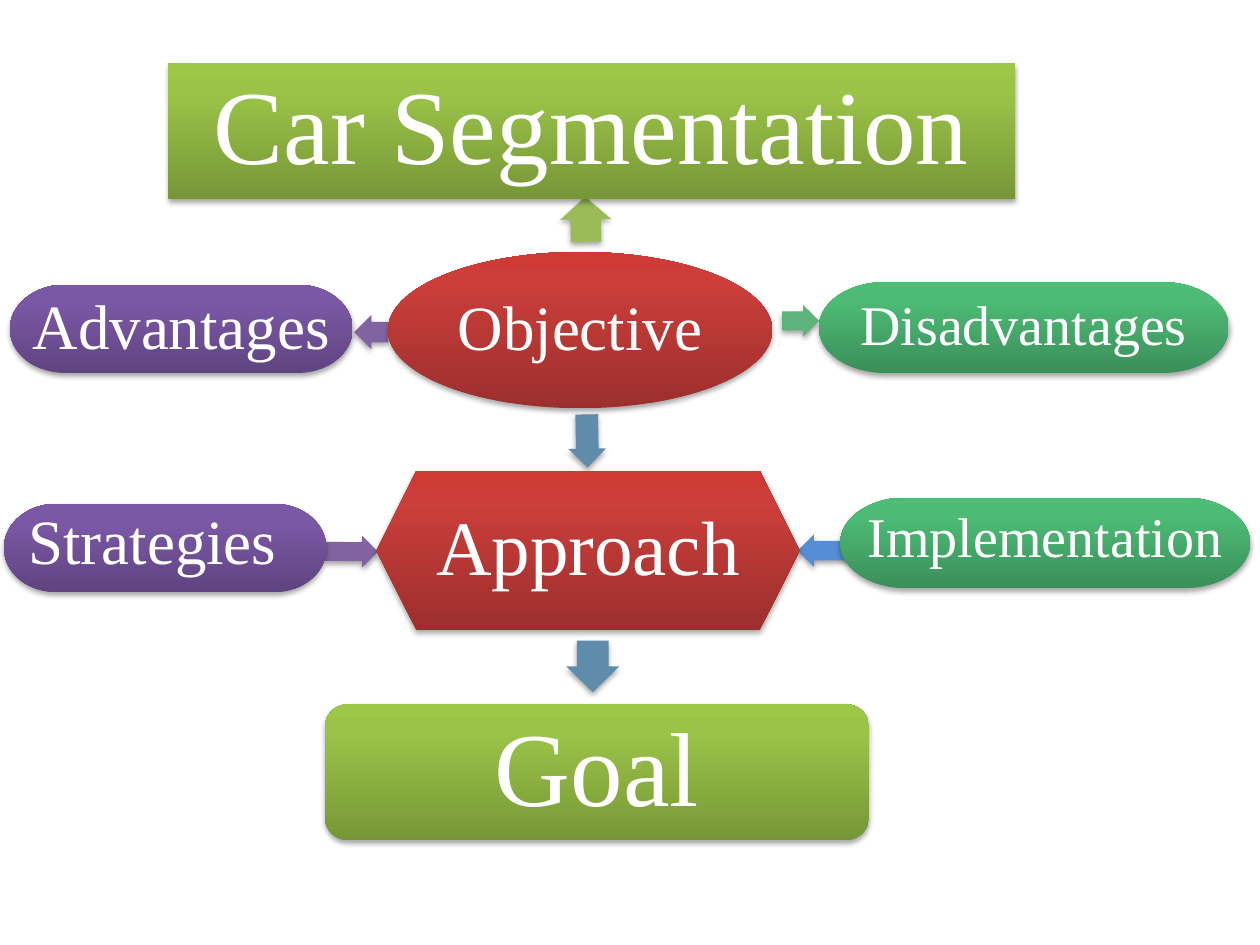
from copy import deepcopy
from dataclasses import dataclass

from lxml import etree
from pptx import Presentation
from pptx.dml.color import RGBColor
from pptx.enum.shapes import MSO_SHAPE
from pptx.enum.text import MSO_ANCHOR, MSO_AUTO_SIZE, PP_ALIGN
from pptx.oxml import parse_xml
from pptx.oxml.ns import qn
from pptx.util import Cm, Pt

ROUNDED = MSO_SHAPE.ROUNDED_RECTANGLE
OVAL = MSO_SHAPE.OVAL
HEXAGON = MSO_SHAPE.HEXAGON
PILL = MSO_SHAPE.FLOWCHART_TERMINATOR
ARROW = MSO_SHAPE.RIGHT_ARROW
CENTER = PP_ALIGN.CENTER
MIDDLE = MSO_ANCHOR.MIDDLE
NO_FIT = MSO_AUTO_SIZE.NONE
TITLE_ONLY = 5
DRAWING = "http://schemas.openxmlformats.org/drawingml/2006/main"
SHADOW = (
    f'<a:outerShdw xmlns:a="{DRAWING}" blurRad="40000" dist="23000" '
    'dir="5400000" rotWithShape="0"><a:srgbClr val="000000">'
    '<a:alpha val="35000"/></a:srgbClr></a:outerShdw>'
)


@dataclass(frozen=True)
class Theme:
    font: str = "Times New Roman"
    text: str = "FFFFFF"
    lime: tuple = ("779737", "9BC348", "9DC746")
    red: tuple = ("9C2F2D", "CB3E3A", "CE3B37")
    purple: tuple = ("5F4480", "7B58A6", "7C57A8")
    green: tuple = ("3B8F5A", "4DBA75", "4BBD75")
    stops: tuple = (0, 0.8, 1)
    lime_arrow: str = "9BBB59"
    purple_arrow: str = "8064A2"
    green_arrow: str = "5CB37C"
    blue_arrow: str = "558ED5"
    steel_arrow: str = "608CAB"
    heading: int = 60
    approach: int = 44
    large: int = 36
    medium: int = 32


THEME = Theme()


@dataclass(frozen=True)
class Card:
    text: str
    kind: MSO_SHAPE
    place: tuple
    colors: tuple
    size: int
    right_inset: float = 0
    bottom_inset: float = 0


@dataclass(frozen=True)
class Arrow:
    place: tuple
    turn: float
    color: str


TITLE = Card("Car Segmentation", ROUNDED, (3.38, 1.27, 17.09, 2.74), THEME.lime, THEME.heading)
CARDS = (
    Card("Objective", OVAL, (7.82, 5.08, 7.75, 3.15), THEME.red, THEME.large),
    Card("Disadvantages", PILL, (16.51, 5.69, 8.26, 1.83), THEME.green, THEME.medium),
    Card("Approach", HEXAGON, (7.59, 9.5, 8.53, 3.2), THEME.red, THEME.approach),
    Card("Advantages", PILL, (0.2, 5.74, 6.91, 1.78), THEME.purple, THEME.large),
    Card("Implementation", PILL, (16.94, 10.03, 8.26, 1.83), THEME.green, THEME.medium,
         bottom_inset=0.13),
    Card("Strategies", PILL, (0.08, 10.16, 6.5, 1.78), THEME.purple, THEME.large,
         right_inset=0.51, bottom_inset=0.18),
    Card("Goal", ROUNDED, (6.55, 14.2, 10.97, 2.74), THEME.lime, THEME.heading),
)
ARROWS = (
    Arrow((11.35, 3.91, 0.91, 1.02), 268.8, THEME.lime_arrow),
    Arrow((16.08, 10.77, 1.12, 0.66), 179.8, THEME.blue_arrow),
    Arrow((11.3, 8.51, 1.07, 0.76), 89, THEME.steel_arrow),
    Arrow((7.14, 6.35, 0.69, 0.69), 179.8, THEME.purple_arrow),
    Arrow((15.77, 6.15, 0.74, 0.64), 0, THEME.green_arrow),
    Arrow((6.55, 10.8, 1.07, 0.64), 0.4, THEME.purple_arrow),
    Arrow((11.43, 12.9, 1.04, 1.07), 90, THEME.steel_arrow),
)


def add_shadow(box) -> None:
    box.shadow.inherit = False
    effects = box.element.spPr.find(qn("a:effectLst"))
    effects.append(parse_xml(SHADOW))


def fill_gradient(box, colors: tuple) -> None:
    box.fill.gradient()
    box.fill.gradient_angle = 90
    stop_list = next(box.element.spPr.iter(qn("a:gsLst")))
    stop_list.append(deepcopy(stop_list[-1]))
    for stop, position, color in zip(box.fill.gradient_stops, THEME.stops, colors):
        stop.position = position
        stop.color.rgb = RGBColor.from_string(color)


def write_text(box, card: Card) -> None:
    frame = box.text_frame
    frame.text = card.text
    frame.word_wrap = True
    frame.auto_size = NO_FIT
    frame.vertical_anchor = MIDDLE
    frame.margin_left = frame.margin_top = 0
    frame.margin_right = Cm(card.right_inset)
    frame.margin_bottom = Cm(card.bottom_inset)
    para = frame.paragraphs[0]
    para.alignment = CENTER
    para.line_spacing = 0.9
    para.font.name = THEME.font
    para.font.size = Pt(card.size)
    para.font.color.rgb = RGBColor.from_string(THEME.text)


def style_card(box, card: Card) -> None:
    fill_gradient(box, card.colors)
    box.line.fill.background()
    add_shadow(box)
    write_text(box, card)


def draw_card(page, card: Card) -> None:
    box = page.shapes.add_shape(card.kind, *map(Cm, card.place))
    style_card(box, card)


def draw_title(page, card: Card) -> None:
    box = page.shapes.title
    box.left, box.top, box.width, box.height = map(Cm, card.place)
    outline = etree.SubElement(box.element.spPr, qn("a:prstGeom"), prst="roundRect")
    etree.SubElement(outline, qn("a:avLst"))
    style_card(box, card)
    box.element.getparent().append(box.element)


def draw_arrow(page, arrow: Arrow) -> None:
    box = page.shapes.add_shape(ARROW, *map(Cm, arrow.place))
    box.adjustments[0] = 0.6
    box.adjustments[1] = 0.5
    box.rotation = arrow.turn
    box.fill.solid()
    box.fill.fore_color.rgb = RGBColor.from_string(arrow.color)
    box.line.fill.background()
    add_shadow(box)


def main() -> None:
    deck = Presentation()
    deck.slide_width, deck.slide_height = Cm(25.4), Cm(19.05)
    page = deck.slides.add_slide(deck.slide_layouts[TITLE_ONLY])
    for arrow in ARROWS:
        draw_arrow(page, arrow)
    for card in CARDS:
        draw_card(page, card)
    draw_title(page, TITLE)
    deck.save("out.pptx")


if __name__ == "__main__":
    main()
